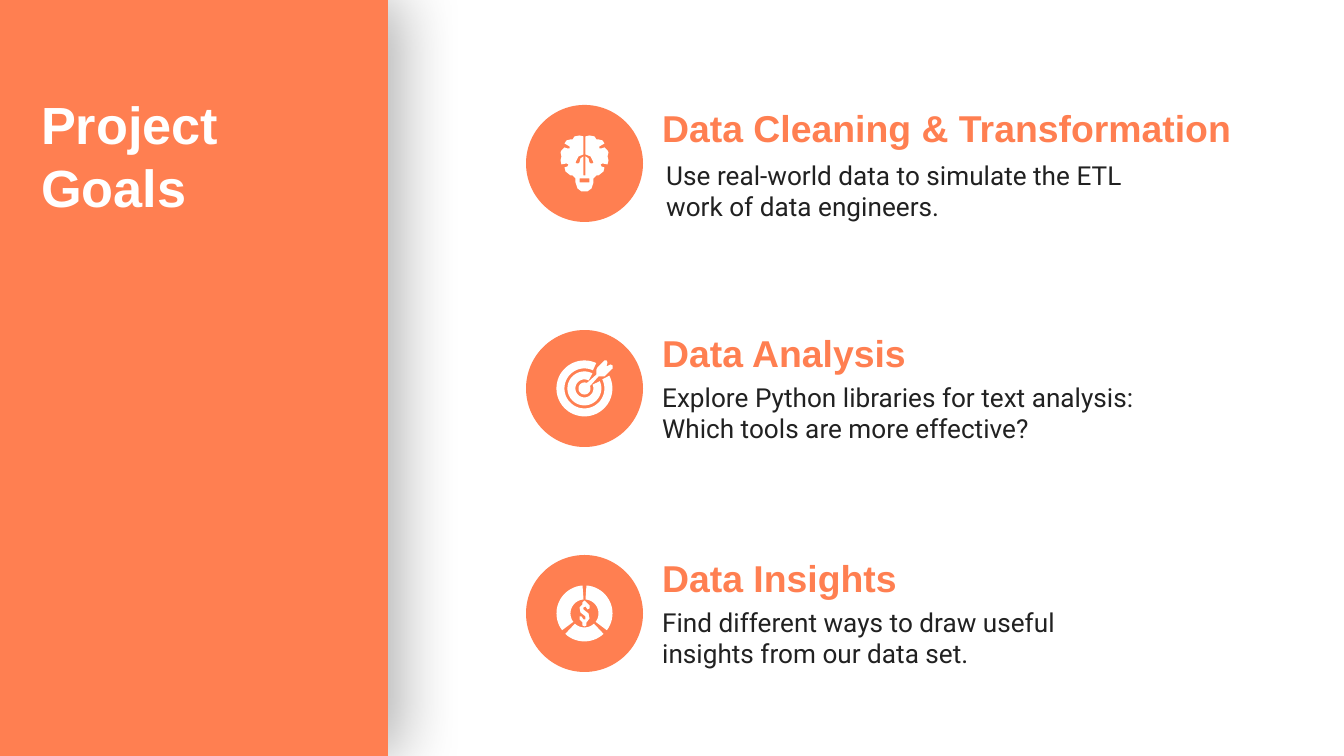
from math import cos, radians, sin

from lxml.etree import SubElement
from pptx import Presentation
from pptx.dml.color import RGBColor
from pptx.enum.shapes import MSO_SHAPE
from pptx.enum.text import MSO_ANCHOR
from pptx.oxml.ns import qn
from pptx.util import Emu, Pt

PX = 914400 / 134.4
WIDE, HIGH = 1344, 756
COLORS = {"coral": "FF7F51", "white": "FFFFFF", "ink": "212121", "shade": "000000"}
STYLES = {
    "title": {"name": "Arial", "size": Pt(28), "bold": True, "color": "white"},
    "head": {"name": "Arial", "size": Pt(20), "bold": True, "color": "coral"},
    "body": {"name": "Roboto", "size": Pt(14), "bold": False, "color": "ink"},
}

TITLE = "Project\vGoals"
# heading, heading width, body, body shift (x, y), icon
GOALS = [
    ("Data Cleaning & Transformation", 610,
     "Use real-world data to simulate the ETL work of data engineers.", (4, 3), "brain"),
    ("Data Analysis", 501,
     "Explore Python libraries for text analysis: Which tools are more effective?",
     (0, 0), "target"),
    ("Data Insights", 501,
     "Find different ways to draw useful insights from our data set.", (0, 0), "budget"),
]
TOP, STEP, DISC, LEFT, TEXT = 105, 225, 117, 526, 649


def arc(radius, start, end):
    """Points around the icon centre, degrees counted anticlockwise."""
    count = max(2, abs(end - start) // 6)
    turns = [radians(start + (end - start) * i / count) for i in range(count + 1)]
    return [(radius * cos(t), -radius * sin(t)) for t in turns]


def band(outer, inner, start, end):
    return arc(outer, start, end) + arc(inner, end, start)


HALF = [  # left half of the brain, from the stem up and around
    (-1, 12), (-1, -7), (-4, -5), (-5, -1), (-6, 0), (-8, 0), (-9, -1), (-6, -7),
    (-1, -9), (-1, -27), (-5, -28), (-10, -27), (-12, -24), (-14, -24), (-18, -23),
    (-20, -20), (-15, -17), (-15, -15), (-17, -15), (-20, -16), (-23, -13),
    (-24, -11), (-23, -7), (-24, -3), (-23, 1), (-18, 0), (-16, 1), (-17, 3),
    (-20, 4), (-19, 8), (-14, 12), (-12, 12), (-9, 15), (-9, 19), (-7, 25), (-3, 28),
]
SLOT = [(-5, 15), (5, 15), (5, 19), (-5, 19)]
ARROW = arc(6, 66, 384) + [
    (14, -12), (20, -12), (28, -20), (28, -23), (26, -24), (22, -22),
    (23, -26), (22, -28), (20, -28), (13, -21), (12, -19), (12, -14),
]
DOLLAR = [
    (0, -13), (2, -11), (5, -8), (5, -5), (3, -4), (1, -7), (-1, -6), (-1, -4),
    (4, 0), (5, 5), (2, 9), (2, 12), (0, 13), (-2, 12), (-2, 9), (-5, 6),
    (-5, 3), (-3, 3), (-1, 6), (1, 6), (1, 3), (-4, -1), (-5, -6), (-2, -9), (-2, -11),
]
# icon -> shapes -> contours
ICONS = {
    "brain": [[HALF + [(-x, y) for x, y in reversed(HALF)], SLOT]],
    "target": [[ARROW], [band(17, 9, 62, 385)], [band(28, 20, 65, 387)]],
    "budget": [[band(28, 14, *span)] for span in ((94, 217), (227, 313), (-37, 86))]
    + [[DOLLAR]],
}


def emu(*sizes):
    return [Emu(round(size * PX)) for size in sizes]


def rgb(name):
    return RGBColor.from_string(COLORS[name])


def paint(shape, color):
    shape.shadow.inherit = False
    shape.fill.solid()
    shape.fill.fore_color.rgb = rgb(color)
    shape.line.fill.background()
    return shape


def write(shapes, text, style, box, anchor=MSO_ANCHOR.TOP):
    frame = shapes.add_textbox(*emu(*box)).text_frame
    frame.word_wrap = True
    frame.vertical_anchor = anchor
    for side in ("left", "top", "right", "bottom"):
        setattr(frame, f"margin_{side}", Emu(91440))
    frame.text = text
    for run in frame.paragraphs[0].runs:
        for key, value in STYLES[style].items():
            if key == "color":
                run.font.color.rgb = rgb(value)
            else:
                setattr(run.font, key, value)


def draw(shapes, icon, x, y):
    for contours in ICONS[icon]:
        pen = None
        for points in contours:
            first, *rest = [emu(x + a, y + b) for a, b in points]
            if pen is None:
                pen = shapes.build_freeform(*first)
            else:
                pen.move_to(*first)
            pen.add_line_segments(rest, close=True)
        paint(pen.convert_to_shape(), "white")


def cast(shape):
    """Give the shape a soft shadow on its right."""
    effects = shape._element.spPr.find(qn("a:effectLst"))
    shadow = SubElement(effects, qn("a:outerShdw"), blurRad=str(Pt(33.8)),
                        dist=str(Pt(7.5)), dir=str(359 * 60000),
                        algn="bl", rotWithShape="0")
    color = SubElement(shadow, qn("a:srgbClr"), val=COLORS["shade"])
    SubElement(color, qn("a:alpha"), val="30000")


def main():
    deck = Presentation()
    deck.slide_width, deck.slide_height = emu(WIDE, HIGH)
    shapes = deck.slides.add_slide(deck.slide_layouts[6]).shapes

    panel = shapes.add_shape(MSO_SHAPE.RECTANGLE, *emu(0, 0, 388, HIGH))
    cast(paint(panel, "coral"))
    write(shapes, TITLE, "title", (28, 79, 247, 298))

    for row, (head, width, body, (dx, dy), icon) in enumerate(GOALS):
        top = TOP + row * STEP
        write(shapes, head, "head", (TEXT, top - 7, width, 60), MSO_ANCHOR.MIDDLE)
        write(shapes, body, "body", (TEXT + dx, top + 38 + dy, 501, 78))
        disc = shapes.add_shape(MSO_SHAPE.OVAL, *emu(LEFT, top, DISC, DISC))
        paint(disc, "coral")
        draw(shapes, icon, LEFT + DISC / 2, top + DISC / 2)

    deck.save("out.pptx")


if __name__ == "__main__":
    main()
